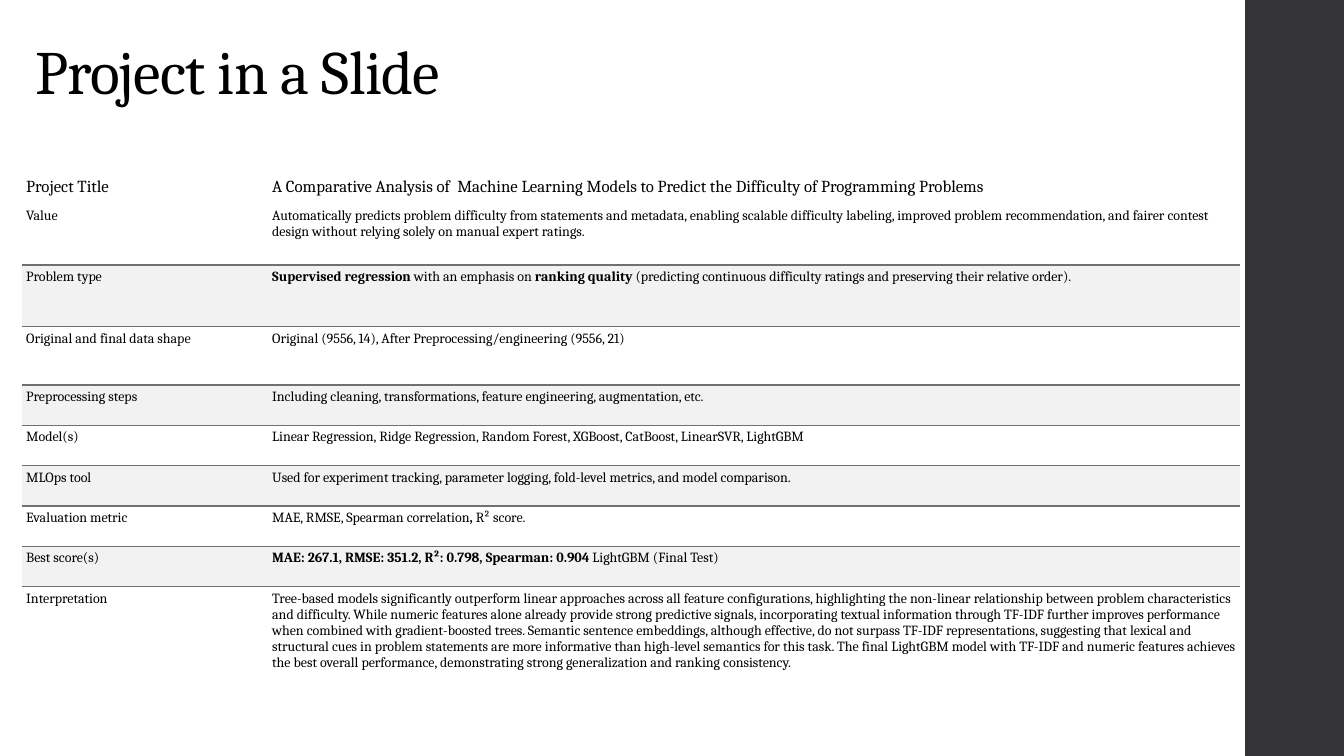
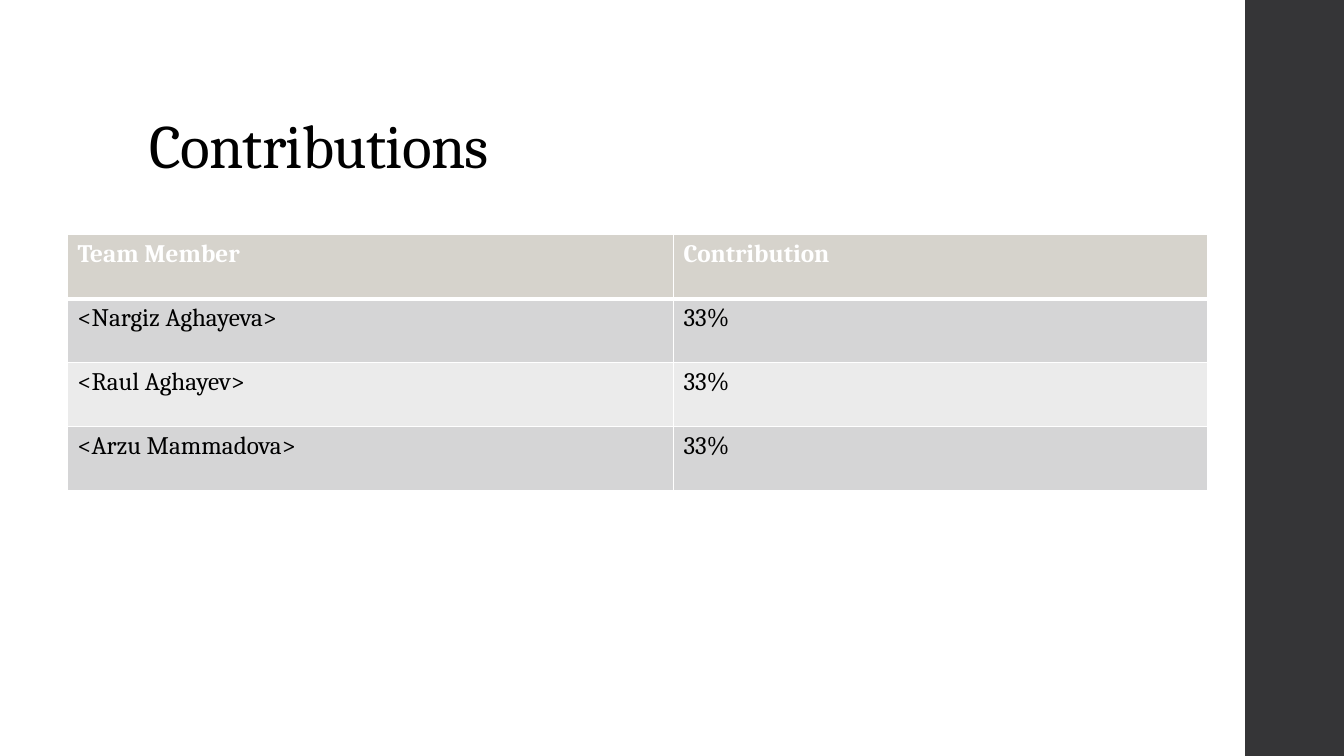
from lxml.etree import SubElement
from pptx import Presentation
from pptx.dml.color import RGBColor
from pptx.enum.shapes import MSO_SHAPE
from pptx.enum.text import MSO_ANCHOR
from pptx.oxml.ns import qn
from pptx.util import Pt

PX = 9144
FONT = "Cambria"
BLACK, WHITE, BAND = "000000", "FFFFFF", "353537"
RULE, SHADE = "6F6F74", "F2F2F2"
HEADER, DARK_ROW, LIGHT_ROW = "D6D3CC", "D5D5D6", "EBEBEB"
NO_STYLE = "{2D5ABB26-0587-4C30-8999-92F81FD0307C}"


def color(value):
    return RGBColor.from_string(value)


def format_cell(cell, text, size, text_color, fill, borders, bold=False):
    paragraph = cell.text_frame.paragraphs[0]
    for index, piece in enumerate(text.split("**")):
        if piece:
            run = paragraph.add_run()
            run.text = piece
            run.font.name = FONT
            run.font.size = Pt(size)
            run.font.bold = bold or index % 2 == 1
            run.font.color.rgb = color(text_color)
    properties = cell._tc.get_or_add_tcPr()
    for side, (line_color, width) in borders.items():
        line = SubElement(properties, qn(f"a:ln{side}"), w=str(Pt(width)))
        solid = SubElement(line, qn("a:solidFill"))
        SubElement(solid, qn("a:srgbClr"), val=line_color)
    if fill:
        cell.fill.solid()
        cell.fill.fore_color.rgb = color(fill)
    else:
        cell.fill.background()


project_rows = [
    (74, "Project Title", "A Comparative Analysis of  Machine Learning Models to Predict the Difficulty of Programming Problems"),
    (61, "Value", "Automatically predicts problem difficulty from statements and metadata, enabling scalable difficulty labeling, improved problem recommendation, and fairer contest design without relying solely on manual expert ratings."),
    (61, "Problem type", "**Supervised regression** with an emphasis on **ranking quality** (predicting continuous difficulty ratings and preserving their relative order)."),
    (58, "Original and final data shape", "Original (9556, 14), After Preprocessing/engineering (9556, 21)"),
    (40, "Preprocessing steps", "Including cleaning, transformations, feature engineering, augmentation, etc."),
    (40, "Model(s)", "Linear Regression, Ridge Regression, Random Forest, XGBoost, CatBoost, LinearSVR, LightGBM"),
    (40, "MLOps tool", "Used for experiment tracking, parameter logging, fold-level metrics, and model comparison."),
    (40, "Evaluation metric", "MAE, RMSE, Spearman correlation**, **R² score."),
    (40, "Best score(s)", "**MAE: 267.1, RMSE: 351.2, R²: 0.798, Spearman: 0.904 **LightGBM (Final Test)"),
    (167, "Interpretation", "Tree-based models significantly outperform linear approaches across all feature configurations, highlighting the non-linear relationship between problem characteristics and difficulty. While numeric features alone already provide strong predictive signals, incorporating textual information through TF-IDF further improves performance when combined with gradient-boosted trees. Semantic sentence embeddings, although effective, do not surpass TF-IDF representations, suggesting that lexical and structural cues in problem statements are more informative than high-level semantics for this task. The final LightGBM model with TF-IDF and numeric features achieves the best overall performance, demonstrating strong generalization and ranking consistency."),
]
team_rows = [
    ("Team Member", "Contribution"),
    ("<Nargiz Aghayeva>", "33%"),
    ("<Raul Aghayev>", "33%"),
    ("<Arzu Mammadova>", "33%"),
]
slide_specs = [
    ("Project in a Slide", 25, -33, (22, 128, 621), len(project_rows), (244, 964)),
    ("Contributions", 138, 40, (67, 233, 254), len(team_rows), (601, 530)),
]

presentation = Presentation()
presentation.slide_width = 1333 * PX
presentation.slide_height = 750 * PX
tables = []

for title, title_left, title_top, (left, top, height), row_count, widths in slide_specs:
    slide = presentation.slides.add_slide(presentation.slide_layouts[6])
    slide.background.fill.solid()
    slide.background.fill.fore_color.rgb = color(WHITE)

    band = slide.shapes.add_shape(MSO_SHAPE.RECTANGLE, 1235 * PX, 0, 98 * PX, 750 * PX)
    band.shadow.inherit = False
    band.fill.solid()
    band.fill.fore_color.rgb = color(BAND)
    band.line.fill.background()

    title_box = slide.shapes.add_textbox(title_left * PX, title_top * PX, 1060 * PX, 145 * PX)
    title_frame = title_box.text_frame
    title_frame.word_wrap = True
    title_frame.vertical_anchor = MSO_ANCHOR.BOTTOM
    title_frame.text = title
    paragraph = title_frame.paragraphs[0]
    paragraph.line_spacing = 0.9
    font = paragraph.runs[0].font
    font.name = FONT
    font.size = Pt(44)
    font.color.rgb = color(BLACK)
    paragraph.runs[0]._r.get_or_add_rPr().set("spc", "-50")

    frame = slide.shapes.add_table(row_count, 2, left * PX, top * PX, sum(widths) * PX, height * PX)
    table = frame.table
    table._tbl.tblPr.find(qn("a:tableStyleId")).text = NO_STYLE
    for column, width in zip(table.columns, widths):
        column.width = width * PX
    tables.append(table)

project_table, team_table = tables

for row, (height, *texts) in enumerate(project_rows):
    project_table.rows[row].height = height * PX
    shaded = row in (2, 4, 6, 8)
    for column, text in enumerate(texts):
        cell = project_table.cell(row, column)
        cell.margin_left = cell.margin_right = cell.margin_top = 4 * PX
        cell.margin_bottom = 7 * PX
        if row == 0:
            cell.vertical_anchor = MSO_ANCHOR.BOTTOM
        format_cell(cell, text, 12 if row == 0 else 10, BLACK,
                    SHADE if shaded else None, {"T": (RULE, 1)} if shaded else {})

team_fills = [HEADER, DARK_ROW, LIGHT_ROW, DARK_ROW]
for row, texts in enumerate(team_rows):
    borders = {side: (WHITE, 1) for side in "LRTB"}
    if row == 0:
        borders["B"] = (WHITE, 3)
    elif row == 1:
        borders["T"] = (WHITE, 3)
    for column, text in enumerate(texts):
        format_cell(team_table.cell(row, column), text, 18, WHITE if row == 0 else BLACK,
                    team_fills[row], borders, bold=row == 0)

presentation.save("out.pptx")
